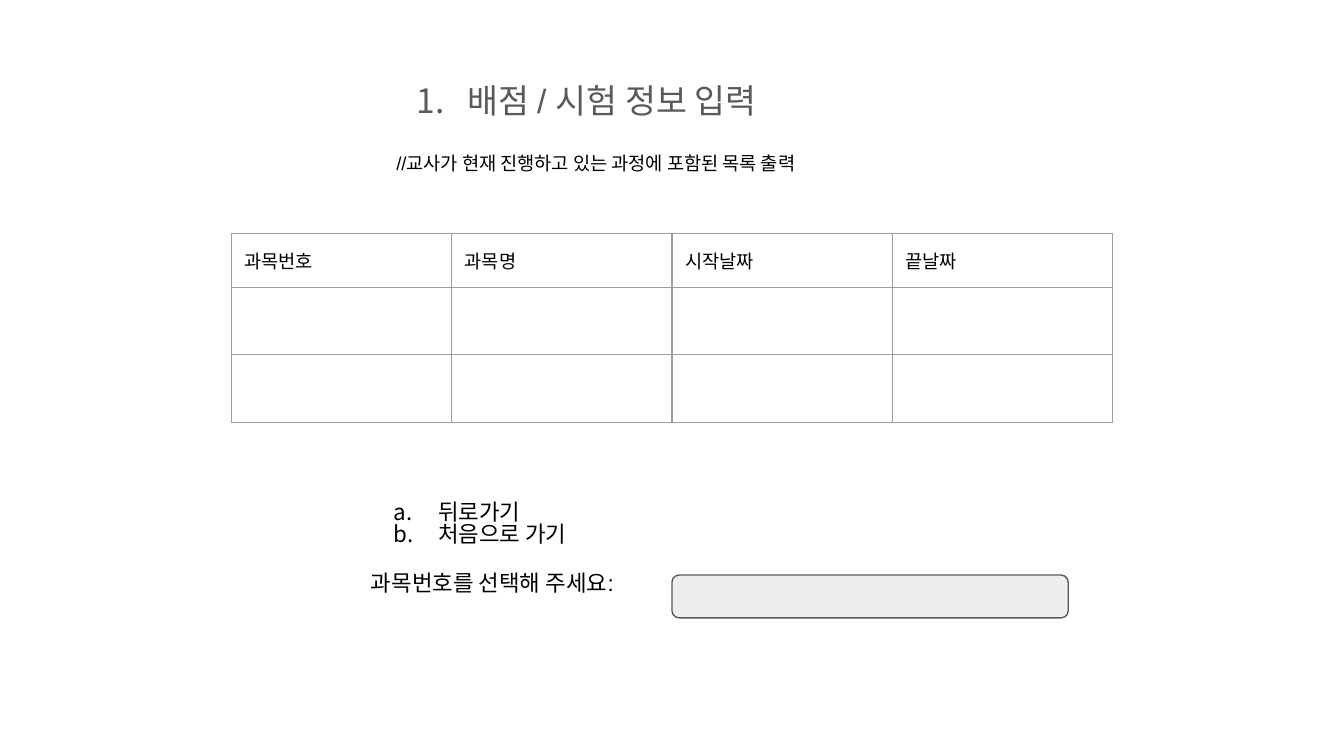
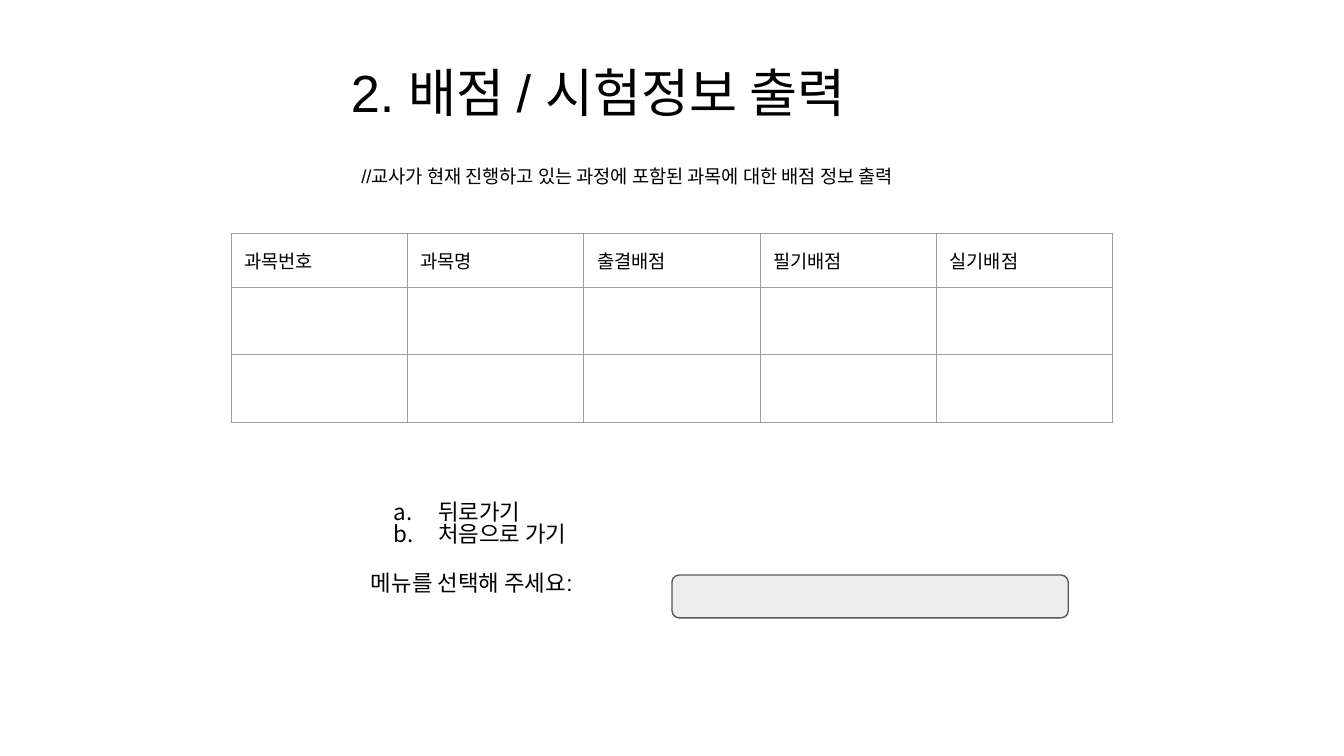
from pptx import Presentation
from pptx.dml.color import RGBColor
from pptx.enum.shapes import MSO_SHAPE
from pptx.enum.text import MSO_ANCHOR, MSO_AUTO_SIZE, PP_ALIGN
from pptx.oxml import parse_xml
from pptx.oxml.ns import nsdecls
from pptx.util import Cm, Pt

ROUNDED = MSO_SHAPE.ROUNDED_RECTANGLE
TOP, LEFT, NO_FIT = MSO_ANCHOR.TOP, PP_ALIGN.LEFT, MSO_AUTO_SIZE.NONE

# Content
MENU_ITEMS = ["뒤로가기", "처음으로 가기"]
SCREENS = [
    {
        "title": "배점 / 시험 정보 입력",
        "title_box": (7.32, 1.14, 9.09, 1.47),
        "title_style": {"size": 18, "color": "595959", "spacing": 1.15,
                        "numbering": "arabicPeriod", "hanging": 0.96},
        "note": "//교사가 현재 진행하고 있는 과정에 포함된 목록 출력",
        "note_box": (7.24, 2.62, 9.09, 0.81),
        "columns": ["과목번호", "과목명", "시작날짜", "끝날짜"],
        "prompt": "과목번호를 선택해 주세요:",
    },
    {
        "title": "2. 배점 / 시험정보 출력",
        "title_box": (6.38, 0.89, 12.65, 1.96),
        "title_style": {"size": 28},
        "note": "//교사가 현재 진행하고 있는 과정에 포함된 과목에 대한 배점 정보 출력",
        "note_box": (6.58, 2.87, 12.24, 0.81),
        "columns": ["과목번호", "과목명", "출결배점", "필기배점", "실기배점"],
        "prompt": "메뉴를 선택해 주세요:",
    },
]

# Shared look, lengths in centimetres
FONT, BLACK, GRID, FIELD, OUTLINE = "Arial", "000000", "9E9E9E", "EEEEEE", "595959"
PADDING = 0.25
NUMBER_INDENT = 1.27
TABLE_LEFT, TABLE_TOP, TABLE_WIDTH = 4.37, 4.42, 16.66
ROW_HEIGHTS = [0.86, 0.86, 0.79]
MENU_BOX = (6.76, 9.25, 16.08, 1.88)
FIELD_BOX = (12.7, 10.87, 7.49, 0.81)
MENU_STYLE = {"size": 12, "spacing": 0.83}


def rgb(value):
    return RGBColor.from_string(value)


def lengths(box):
    return [Cm(value) for value in box]


def set_all(target, values):
    for name, value in values.items():
        setattr(target, name, value)


def pad(target):
    sides = ("left", "top", "right", "bottom")
    set_all(target, {f"margin_{side}": Cm(PADDING) for side in sides})


def write(paragraph, text, size, color=BLACK, spacing=None, before=None,
          numbering=None, hanging=0.84):
    set_all(paragraph, {"alignment": LEFT, "line_spacing": spacing,
                        "space_before": before})
    run = paragraph.add_run()
    run.text = text
    set_all(run.font, {"name": FONT, "size": Pt(size)})
    run.font.color.rgb = rgb(color)
    if numbering:
        properties = paragraph._p.get_or_add_pPr()
        properties.set("marL", str(Cm(NUMBER_INDENT)))
        properties.set("indent", str(-Cm(hanging)))
        properties.append(parse_xml(
            f'<a:buClr {nsdecls("a")}><a:srgbClr val="{color}"/></a:buClr>'))
        properties.append(parse_xml(
            f'<a:buAutoNum {nsdecls("a")} type="{numbering}"/>'))


def prepare(frame):
    set_all(frame, {"word_wrap": True, "auto_size": NO_FIT, "vertical_anchor": TOP})
    pad(frame)
    return frame


def add_title(slide, screen):
    title = slide.shapes.title
    places = zip(("left", "top", "width", "height"), lengths(screen["title_box"]))
    set_all(title, dict(places))
    frame = prepare(title.text_frame)
    write(frame.paragraphs[0], screen["title"], **screen["title_style"])


def add_text(slide, box):
    return prepare(slide.shapes.add_textbox(*lengths(box)).text_frame)


def add_borders(cell):
    properties = cell._tc.get_or_add_tcPr()
    for side in "LRTB":
        properties.append(parse_xml(
            f'<a:ln{side} {nsdecls("a")} w="{Pt(0.75)}"><a:solidFill>'
            f'<a:srgbClr val="{GRID}"/></a:solidFill></a:ln{side}>'))


def add_subjects(slide, columns):
    table = slide.shapes.add_table(
        len(ROW_HEIGHTS), len(columns), Cm(TABLE_LEFT), Cm(TABLE_TOP),
        Cm(TABLE_WIDTH), Cm(sum(ROW_HEIGHTS))).table
    set_all(table, {"first_row": False, "horz_banding": False})
    for column in table.columns:
        column.width = Cm(TABLE_WIDTH / len(columns))
    for row, height in zip(table.rows, ROW_HEIGHTS):
        row.height = Cm(height)
    for cell in table.iter_cells():
        pad(cell)
        add_borders(cell)
        cell.fill.background()
    for cell, heading in zip(table.rows[0].cells, columns):
        write(cell.text_frame.paragraphs[0], heading, 10)


def add_menu(slide, prompt):
    frame = add_text(slide, MENU_BOX)
    for index, item in enumerate(MENU_ITEMS):
        paragraph = frame.add_paragraph() if index else frame.paragraphs[0]
        write(paragraph, item, numbering="alphaLcPeriod", **MENU_STYLE)
    write(frame.add_paragraph(), prompt, before=Pt(14), **MENU_STYLE)


def add_answer_field(slide):
    field = slide.shapes.add_shape(ROUNDED, *lengths(FIELD_BOX))
    field.shadow.inherit = False
    field.fill.solid()
    field.fill.fore_color.rgb = rgb(FIELD)
    field.line.color.rgb = rgb(OUTLINE)
    field.line.width = Pt(0.75)


def main():
    deck = Presentation()
    set_all(deck, {"slide_width": Cm(25.4), "slide_height": Cm(14.29)})
    title_only = deck.slide_layouts[5]
    for screen in SCREENS:
        slide = deck.slides.add_slide(title_only)
        add_title(slide, screen)
        add_subjects(slide, screen["columns"])
        write(add_text(slide, screen["note_box"]).paragraphs[0], screen["note"], 10)
        add_menu(slide, screen["prompt"])
        add_answer_field(slide)
    deck.save("out.pptx")


if __name__ == "__main__":
    main()
